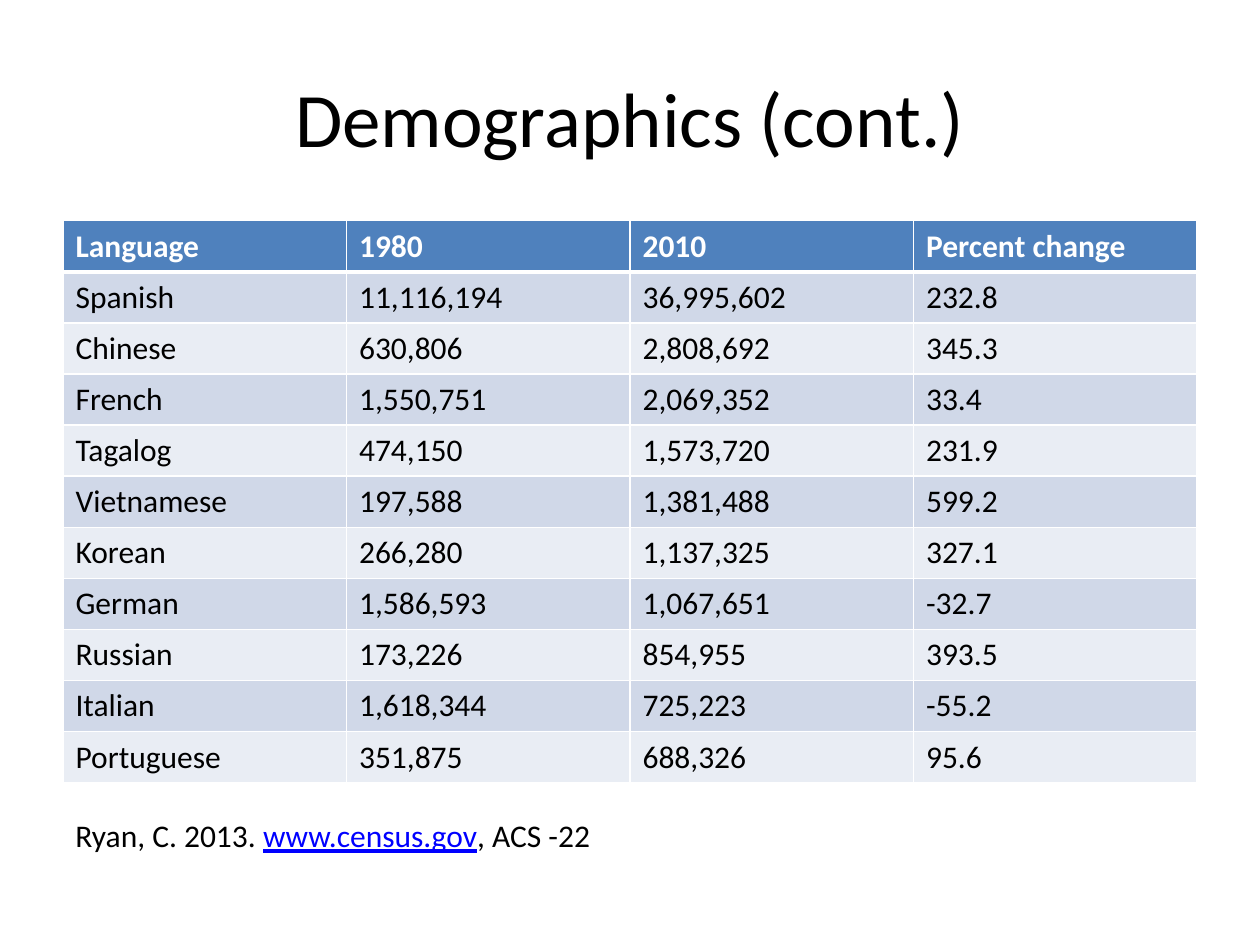
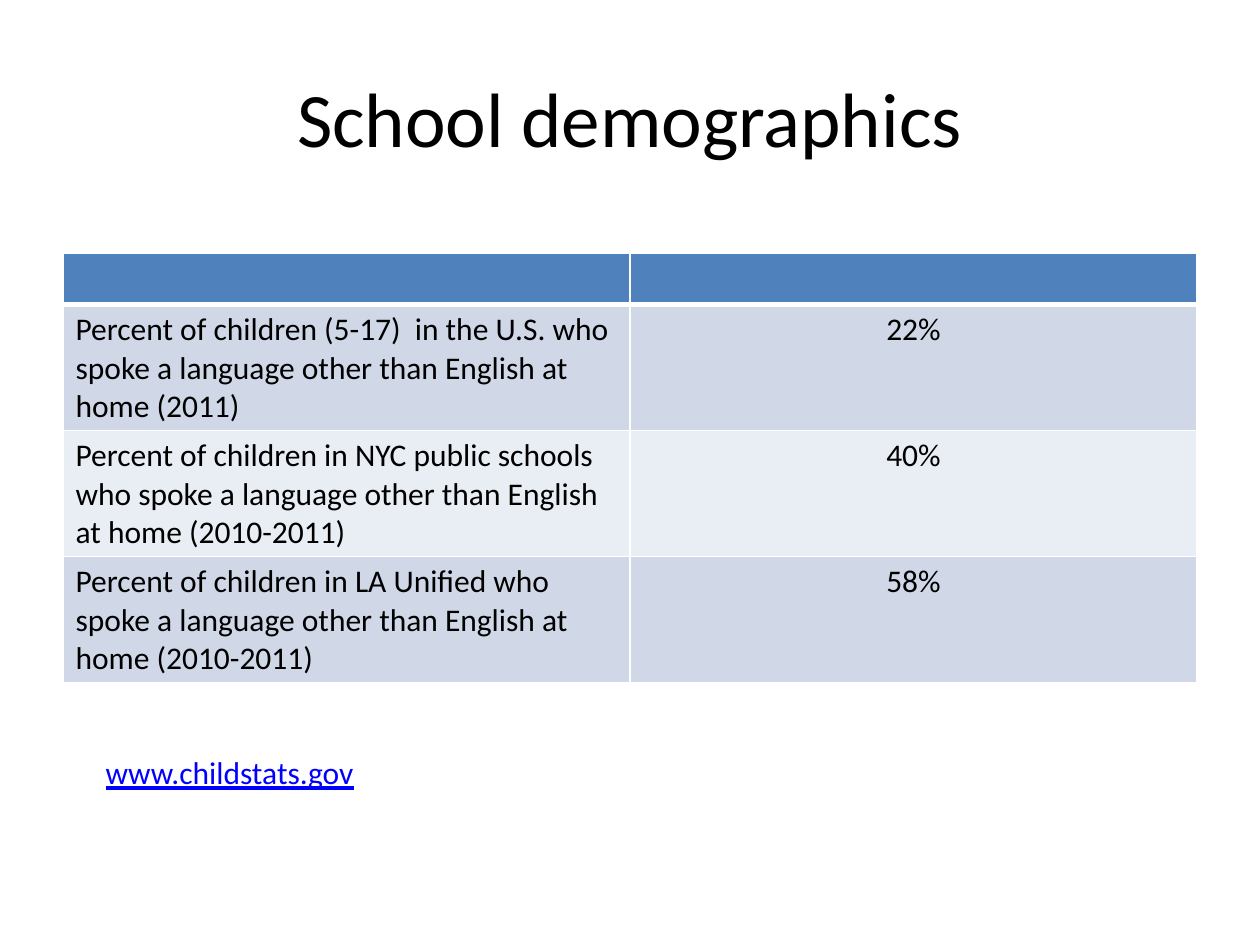
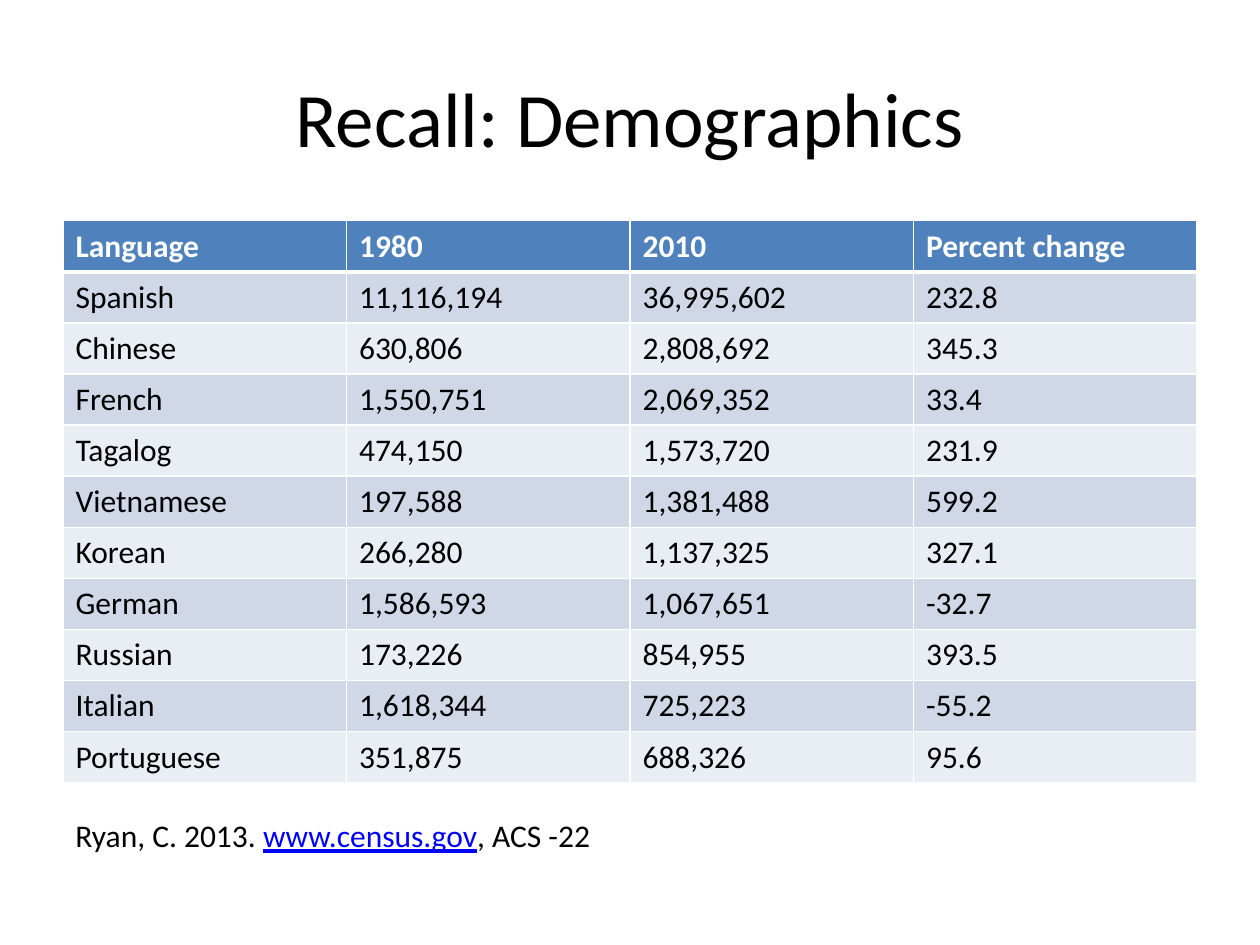
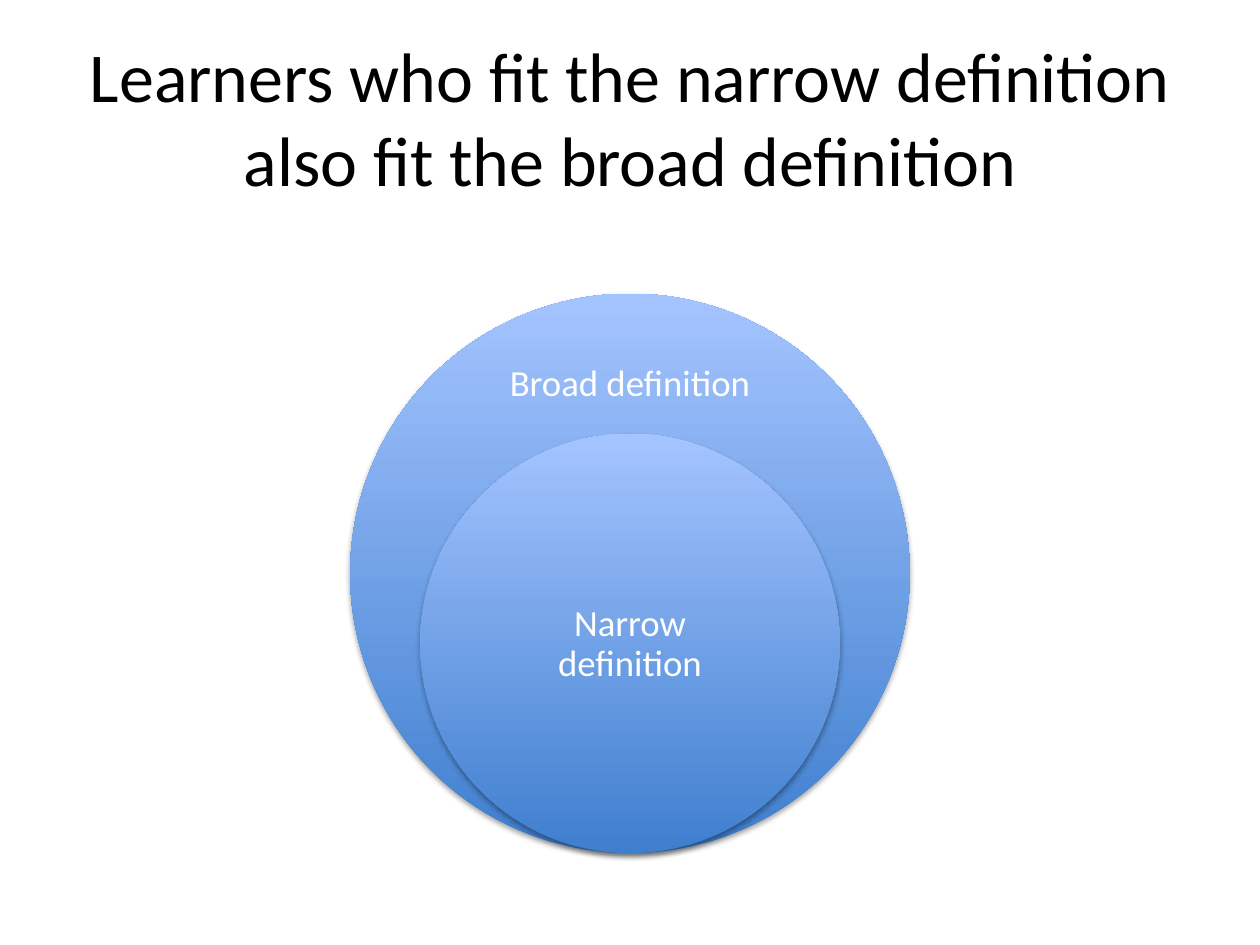
from lxml import etree
from pptx import Presentation
from pptx.dml.color import RGBColor
from pptx.enum import shapes, text
from pptx.oxml import ns
from pptx.util import Cm, Pt

FONT = "Calibri"
BLACK = RGBColor(0x00, 0x00, 0x00)
WHITE = RGBColor(0xFF, 0xFF, 0xFF)
LINK_BLUE = RGBColor(0x00, 0x00, 0xFF)
HEADER_BLUE = RGBColor(0x4F, 0x81, 0xBD)
BANDS = (RGBColor(0xD0, 0xD8, 0xE8), RGBColor(0xE9, 0xED, 0xF4))
DISC_DARK = RGBColor(0x3F, 0x7F, 0xCE)
DISC_LIGHT = RGBColor(0xA4, 0xC4, 0xFF)

PAGE_WIDTH, PAGE_HEIGHT = 25.4, 19.05
MARGIN = 1.27
BODY_WIDTH = PAGE_WIDTH - 2 * MARGIN
HEADER_HEIGHT = 1.03

LEFT, CENTER = text.PP_ALIGN.LEFT, text.PP_ALIGN.CENTER

LANGUAGES = [
    ("Language", "1980", "2010", "Percent change"),
    ("Spanish", "11,116,194", "36,995,602", "232.8"),
    ("Chinese", "630,806", "2,808,692", "345.3"),
    ("French", "1,550,751", "2,069,352", "33.4"),
    ("Tagalog", "474,150", "1,573,720", "231.9"),
    ("Vietnamese", "197,588", "1,381,488", "599.2"),
    ("Korean", "266,280", "1,137,325", "327.1"),
    ("German", "1,586,593", "1,067,651", "-32.7"),
    ("Russian", "173,226", "854,955", "393.5"),
    ("Italian", "1,618,344", "725,223", "-55.2"),
    ("Portuguese", "351,875", "688,326", "95.6"),
]
SCHOOLS = [
    ("", ""),
    ("Percent of children (5-17)  in the U.S. who spoke a language "
     "other than English at home (2011)", "22%"),
    ("Percent of children in NYC public schools who spoke a language "
     "other than English at home (2010-2011)", "40%"),
    ("Percent of children in LA Unified who spoke a language "
     "other than English at home (2010-2011)", "58%"),
]
# Each source is a list of (words, is a web address)
CENSUS_SOURCE = [("Ryan, C. 2013. ", False), ("www.census.gov", True), (", ACS -22", False)]
SCHOOL_SOURCE = [("www.childstats.gov", True)]

LANGUAGE_TABLE = dict(rows=LANGUAGES, top=4.45, row_height=HEADER_HEIGHT,
                      aligns=(LEFT,) * 4)
SCHOOL_TABLE = dict(rows=SCHOOLS, top=5.11, row_height=2.54, aligns=(LEFT, CENTER))
CENSUS_NOTE = dict(spans=CENSUS_SOURCE, area=(MARGIN, 16.33, 11.2, 1.02), wrap=False)
SCHOOL_NOTE = dict(spans=SCHOOL_SOURCE, area=(1.88, 15.06, 7.16, 1.8), wrap=True)

TABLE_PAGES = [
    ("Demographics (cont.)", LANGUAGE_TABLE, CENSUS_NOTE),
    ("School demographics", SCHOOL_TABLE, SCHOOL_NOTE),
    ("Recall: Demographics", LANGUAGE_TABLE, CENSUS_NOTE),
]

DISC_TITLE = "Learners who fit the narrow definition also fit the broad definition"
DISC_BOTTOM = 17.2
# Label, diameter of the disc, label top, label width, label height
DISCS = [
    ("Broad definition", 11.28, 6.78, 5.92, 1.93),
    ("Narrow definition", 8.46, 10.87, 6, 4.24),
]


def write(para, words, size=18, color=BLACK, bold=False, underline=False):
    span = para.add_run()
    span.text = words
    span.font.name = FONT
    span.font.size = Pt(size)
    span.font.color.rgb = color
    span.font.bold = bold
    span.font.underline = underline


def add_box(parent, area, spans, wrap=True, align=LEFT, middle=False, inset=None,
            line_spacing=None, **font):
    """Add a text box of one paragraph; spans are (words, is a web address)."""
    box = parent.add_textbox(*map(Cm, area))
    frame = box.text_frame
    frame.word_wrap = wrap
    if middle:
        frame.vertical_anchor = text.MSO_ANCHOR.MIDDLE
    if inset is not None:
        frame.margin_left = frame.margin_right = Cm(inset)
        frame.margin_top = frame.margin_bottom = Cm(inset)
    para = frame.paragraphs[0]
    para.alignment = align
    para.line_spacing = line_spacing
    for words, is_link in spans:
        link_font = dict(color=LINK_BLUE, underline=True) if is_link else {}
        write(para, words, **{**font, **link_font})


def add_page(deck, title, size=44):
    page = deck.slides.add_slide(deck.slide_layouts[6])
    add_box(page.shapes, (MARGIN, 0.76, BODY_WIDTH, 3.18), [(title, False)],
            align=CENTER, middle=True, size=size)
    return page


def set_borders(cell, **widths):
    """Draw white cell borders, 1 pt unless a side (L, R, T, B) gets a width."""
    properties = cell._tc.get_or_add_tcPr()
    for index, side in enumerate("LRTB"):
        line = etree.Element(ns.qn(f"a:ln{side}"), w=str(Pt(widths.get(side, 1))))
        fill = etree.SubElement(line, ns.qn("a:solidFill"))
        etree.SubElement(fill, ns.qn("a:srgbClr"), val=str(WHITE))
        properties.insert(index, line)


def add_table(page, rows, top, row_height, aligns):
    heights = [HEADER_HEIGHT] + [row_height] * (len(rows) - 1)
    table = page.shapes.add_table(len(rows), len(aligns), Cm(MARGIN), Cm(top),
                                  Cm(BODY_WIDTH), Cm(sum(heights))).table
    table.horz_banding = False
    for r, (values, height) in enumerate(zip(rows, heights)):
        table.rows[r].height = Cm(height)
        is_header = r == 0
        for c, (value, align) in enumerate(zip(values, aligns)):
            cell = table.cell(r, c)
            cell.fill.solid()
            cell.fill.fore_color.rgb = HEADER_BLUE if is_header else BANDS[(r - 1) % 2]
            set_borders(cell, B=3 if is_header else 1, T=3 if r == 1 else 1)
            para = cell.text_frame.paragraphs[0]
            para.alignment = align
            if value:
                write(para, value, color=WHITE if is_header else BLACK, bold=is_header)


def add_shadow(shape):
    """Give the shape a soft shadow straight below it."""
    shape.shadow.inherit = False
    effects = shape._element.spPr.find(ns.qn("a:effectLst"))
    shadow = etree.SubElement(effects, ns.qn("a:outerShdw"), blurRad=str(Pt(3.1)),
                              dist=str(Pt(1.8)), dir="5400000", rotWithShape="0")
    color = etree.SubElement(shadow, ns.qn("a:srgbClr"), val=str(BLACK))
    etree.SubElement(color, ns.qn("a:alpha"), val="35000")


def add_disc(parent, diameter):
    disc = parent.add_shape(shapes.MSO_SHAPE.OVAL, Cm((PAGE_WIDTH - diameter) / 2),
                            Cm(DISC_BOTTOM - diameter), Cm(diameter), Cm(diameter))
    disc.fill.gradient()
    disc.fill.gradient_angle = 90
    for stop, color in zip(disc.fill.gradient_stops, (DISC_DARK, DISC_LIGHT)):
        stop.color.rgb = color
    disc.line.fill.background()
    add_shadow(disc)


def main():
    deck = Presentation()
    deck.slide_width, deck.slide_height = Cm(PAGE_WIDTH), Cm(PAGE_HEIGHT)

    for title, table, note in TABLE_PAGES:
        page = add_page(deck, title)
        add_table(page, **table)
        add_box(page.shapes, **note)

    page = add_page(deck, DISC_TITLE, size=40)
    group = page.shapes.add_group_shape()
    for label, diameter, top, width, height in DISCS:
        add_disc(group.shapes, diameter)
        add_box(group.shapes, ((PAGE_WIDTH - width) / 2, top, width, height),
                [(label, False)], align=CENTER, middle=True, inset=0.41,
                line_spacing=0.9, size=21, color=WHITE)

    deck.save("out.pptx")


if __name__ == "__main__":
    main()
